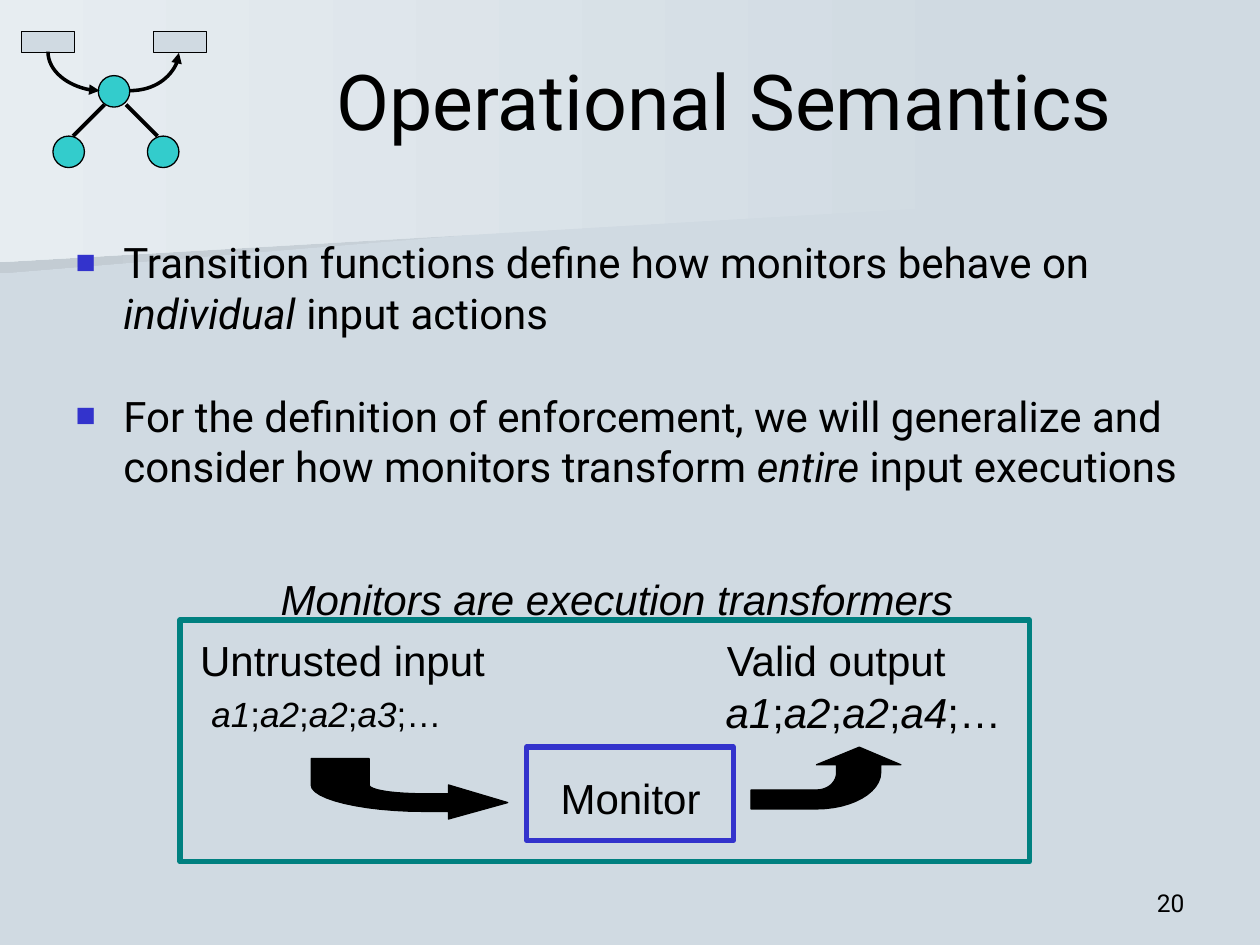
"""Build the Operational Semantics slide."""
from lxml import etree
from pptx import Presentation
from pptx.dml.color import RGBColor
from pptx.enum.shapes import MSO_CONNECTOR, MSO_SHAPE
from pptx.enum.text import MSO_ANCHOR, MSO_AUTO_SIZE, PP_ALIGN
from pptx.oxml.ns import qn
from pptx.util import Inches, Pt

STRAIGHT, CURVE = MSO_CONNECTOR.STRAIGHT, MSO_CONNECTOR.CURVE
OVAL, RECTANGLE = MSO_SHAPE.OVAL, MSO_SHAPE.RECTANGLE
LEFT, CENTER, RIGHT = PP_ALIGN.LEFT, PP_ALIGN.CENTER, PP_ALIGN.RIGHT
TOP, MIDDLE, BOTTOM = MSO_ANCHOR.TOP, MSO_ANCHOR.MIDDLE, MSO_ANCHOR.BOTTOM
NO_AUTOFIT = MSO_AUTO_SIZE.NONE
BACKGROUND, BLACK, TEAL, BLUE, CYAN = "D0DAE2", "000000", "008080", "3333CC", "33CCCC"


def paint(shape, fill=None, line=None, width=0.75):
    """Give a shape its fill and line, without a shadow."""
    shape.shadow.inherit = False
    if fill:
        shape.fill.solid()
        shape.fill.fore_color.rgb = RGBColor.from_string(fill)
    else:
        shape.fill.background()
    if line:
        shape.line.color.rgb = RGBColor.from_string(line)
        shape.line.width = Pt(width)
    else:
        shape.line.fill.background()


def write(shape, text, size=24, font="Arial", align=LEFT, anchor=TOP, wrap=False, before=(0,)):
    """Write one paragraph a line, with the parts between asterisks in italics."""
    frame = shape.text_frame
    frame.auto_size, frame.word_wrap, frame.vertical_anchor = NO_AUTOFIT, wrap, anchor
    for index, (line, space) in enumerate(zip(text.split("\n"), before)):
        paragraph = frame.add_paragraph() if index else frame.paragraphs[0]
        paragraph.alignment, paragraph.space_before = align, Pt(space)
        for part, words in enumerate(line.split("*")):
            if words:
                run = paragraph.add_run()
                run.text = words
                run.font.size, run.font.name = Pt(size), font
                run.font.italic = part % 2 == 1
                run.font.color.rgb = RGBColor.from_string(BLACK)


presentation = Presentation()
presentation.slide_width, presentation.slide_height = Inches(10), Inches(7.5)
slide = presentation.slides.add_slide(presentation.slide_layouts[1])
slide.background.fill.solid()
slide.background.fill.fore_color.rgb = RGBColor.from_string(BACKGROUND)
shapes = slide.shapes
title, body = slide.placeholders

panels = [
    ("C3CCD3", [(7.78, 1.53), (0, 2.17), (0, 1.01), (7.79, 1.01)]),
    ("E7EDF1", [(7.92, 1.62), (0, 2.08), (0, 0), (7.92, 0)]),
]
for color, corners in panels:
    points = [(Inches(x), Inches(y)) for x, y in corners]
    builder = shapes.build_freeform(*points[0], scale=1.0)
    builder.add_line_segments(points[1:], close=True)
    panel = builder.convert_to_shape()
    paint(panel)
    panel.fill.gradient()
    panel.fill.gradient_angle = 180
    for stop, stop_color, position in zip(panel.fill.gradient_stops, (BACKGROUND, color), (0, 1)):
        stop.color.rgb = RGBColor.from_string(stop_color)
        stop.position = position

logo_parts = [
    (OVAL, 0.42, 1.08, 0.25, 0.25, CYAN),
    (OVAL, 1.17, 1.08, 0.25, 0.25, CYAN),
    (OVAL, 0.78, 0.6, 0.25, 0.25, CYAN),
    (RECTANGLE, 0.17, 0.25, 0.42, 0.17, BACKGROUND),
    (RECTANGLE, 1.22, 0.25, 0.42, 0.17, BACKGROUND),
]
for kind, left, top, width, height, color in logo_parts:
    part = shapes.add_shape(kind, Inches(left), Inches(top), Inches(width), Inches(height))
    paint(part, color, BLACK)

links = [
    (STRAIGHT, 0.58, 1.08, 0.83, 0.83, 0),
    (STRAIGHT, 1, 0.83, 1.25, 1.08, 0),
    (CURVE, 0.74, 0.36, 0.43, 0.77, 270),
    (CURVE, 1.03, 0.72, 1.42, 0.42, 0),
]
for kind, *ends, rotation in links:
    link = shapes.add_connector(kind, *[Inches(end) for end in ends])
    link.line.color.rgb = RGBColor.from_string(BLACK)
    link.line.width = Pt(2 if kind == CURVE else 2.25)
    properties = link._element.spPr
    if kind == CURVE:
        properties.find(qn("a:prstGeom")).set("prst", "curvedConnector2")
        properties.find(qn("a:xfrm")).set("rot", str(rotation * 60000))
        etree.SubElement(properties.find(qn("a:ln")), qn("a:tailEnd"), type="triangle")
    etree.SubElement(properties, qn("a:effectLst"))

for placeholder, box in ((title, (2, 0.17, 7.5, 1.25)), (body, (0.5, 1.83, 9, 3.08))):
    placeholder.left, placeholder.top, placeholder.width, placeholder.height = map(Inches, box)
    shapes._spTree.append(placeholder._element)
write(title, "Operational Semantics", size=44, font="Roboto", align=CENTER, anchor=MIDDLE, wrap=True)
write(body, "Transition functions define how monitors behave on *individual* input actions\n"
      "For the definition of enforcement, we will generalize and consider how monitors "
      "transform *entire* input executions", font="Roboto", wrap=True, before=(6, 30))
for paragraph in body.text_frame.paragraphs:
    properties = paragraph._p.get_or_add_pPr()
    properties.set("marL", str(Inches(0.38)))
    properties.set("indent", str(-Inches(0.38)))
    bullet_color = etree.SubElement(properties, qn("a:buClr"))
    etree.SubElement(bullet_color, qn("a:srgbClr"), val=BLUE)
    etree.SubElement(properties, qn("a:buSzPct"), val="80000")
    etree.SubElement(properties, qn("a:buFont"), typeface="Arial")
    etree.SubElement(properties, qn("a:buChar"), char="■")

for left, top, width, height, color in ((1.43, 4.92, 6.74, 1.92, TEAL), (4.18, 5.93, 1.64, 0.74, BLUE)):
    frame_box = shapes.add_shape(RECTANGLE, Inches(left), Inches(top), Inches(width), Inches(height))
    paint(frame_box, line=color, width=3)

labels = [
    ("*a1*;*a2*;*a2*;*a3*;…", 1.58, 5.45, 2.02, 0.44, {"size": 20}),
    ("*a1*;*a2*;*a2*;*a4*;…", 5.66, 5.4, 2.38, 0.5, {}),
    ("Untrusted input", 1.49, 4.99, 2.46, 0.5, {}),
    ("Valid output", 5.67, 4.99, 1.96, 0.5, {}),
    ("Monitor", 4.35, 6.08, 1.31, 0.5, {}),
    ("*Monitors are execution transformers*", 2.13, 4.5, 5.53, 0.5, {}),
    ("20", 7.17, 6.83, 2.33, 0.5,
     {"size": 14, "font": "Roboto", "align": RIGHT, "anchor": BOTTOM, "wrap": True}),
]
for text, left, top, width, height, text_format in labels:
    label = shapes.add_textbox(Inches(left), Inches(top), Inches(width), Inches(height))
    write(label, text, **text_format)

STEPS = 12
input_arrow = [
    (2.47, 6.02), (2.47, 6.23), (2.47, 6.34, 2.87, 6.44, 3.37, 6.44), (3.56, 6.44), (3.56, 6.5),
    (4.03, 6.37), (3.56, 6.23), (3.56, 6.3), (3.37, 6.3), (3.12, 6.3, 2.93, 6.27, 2.93, 6.23),
    (2.93, 6.02),
]
output_arrow = [
    (5.96, 6.42), (6.48, 6.42), (6.76, 6.42, 6.99, 6.29, 6.99, 6.13), (6.99, 6.07), (7.15, 6.07),
    (6.82, 5.93), (6.48, 6.07), (6.64, 6.07), (6.64, 6.13), (6.64, 6.21, 6.57, 6.27, 6.48, 6.27),
    (5.96, 6.27),
]
for segments in (input_arrow, output_arrow):
    points = []
    for segment in segments:
        if len(segment) == 2:
            points.append(segment)
            continue
        controls = [points[-1], segment[:2], segment[2:4], segment[4:]]
        for step in range(1, STEPS + 1):
            t = step / STEPS
            weights = ((1 - t) ** 3, 3 * t * (1 - t) ** 2, 3 * t ** 2 * (1 - t), t ** 3)
            points.append(tuple(sum(weight * control[axis] for weight, control in zip(weights, controls))
                                for axis in (0, 1)))
    outline = [(Inches(x), Inches(y)) for x, y in points]
    builder = shapes.build_freeform(*outline[0], scale=1.0)
    builder.add_line_segments(outline[1:], close=True)
    paint(builder.convert_to_shape(), BLACK, BLACK)

presentation.save("out.pptx")
